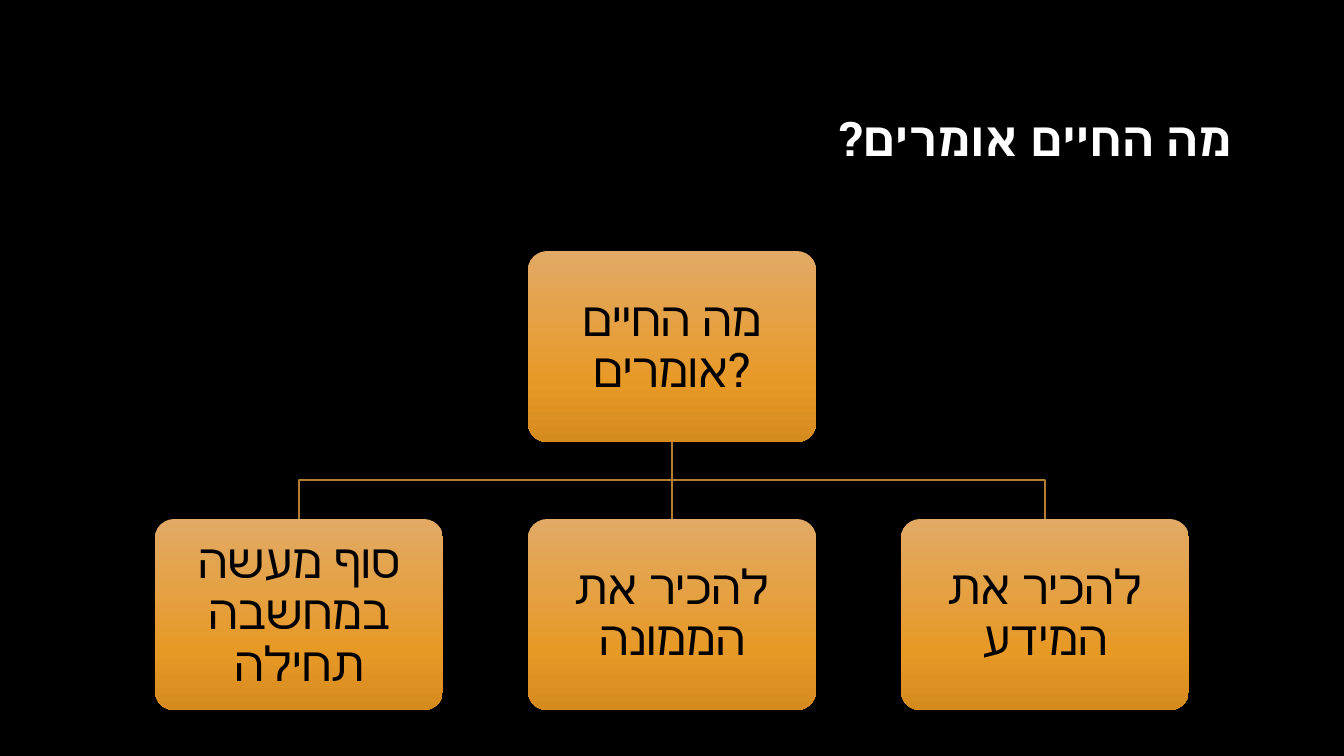
from copy import deepcopy

from lxml import etree
from pptx import Presentation
from pptx.dml.color import RGBColor
from pptx.enum.shapes import MSO_CONNECTOR, MSO_SHAPE
from pptx.enum.text import MSO_ANCHOR, PP_ALIGN
from pptx.oxml.ns import qn
from pptx.util import Pt

PX = 914400 / 100.8
COLORS = {
    "background": "000000",
    "title": "FFFFFF",
    "box_text": "000000",
    "box_top": "E2AA66",
    "box_middle": "E79926",
    "box_bottom": "D68B1F",
    "line": "B27D30",
}
FONT = "Roboto Slab"


def px(*lengths):
    return [round(length * PX) for length in lengths]


def write_text(shape, text, color, align, bold=False):
    """Fill the shape with one vertically centred paragraph."""
    frame = shape.text_frame
    frame.word_wrap = True
    frame.vertical_anchor = MSO_ANCHOR.MIDDLE
    para = frame.paragraphs[0]
    para.alignment = align
    para.line_spacing = 0.9
    span = para.add_run()
    span.text = text
    font = span.font
    font.name, font.size, font.bold = FONT, Pt(34), bold
    font.color.rgb = RGBColor.from_string(COLORS[color])
    # Hebrew letters take the complex-script font
    etree.SubElement(span._r.get_or_add_rPr(), qn("a:cs"), typeface=FONT)
    return para


deck = Presentation()
deck.slide_width, deck.slide_height = px(1344, 756)
page = deck.slides.add_slide(deck.slide_layouts[5])
page.background.fill.solid()
page.background.fill.fore_color.rgb = RGBColor.from_string(COLORS["background"])

title = page.shapes.title
title.left, title.top, title.width, title.height = px(101, 68, 1141, 146)
title_para = write_text(title, "מה החיים אומרים?", "title", PP_ALIGN.RIGHT, bold=True)
title_para._p.get_or_add_pPr().set("rtl", "1")

# Hierarchy: one root above three children
BOX_WIDTH, BOX_HEIGHT = 288, 191
ROOT_TOP, CHILD_TOP = 251, 519
CENTER, STEP = 672, 373
ROOT_BOTTOM = ROOT_TOP + BOX_HEIGHT
BUS = (ROOT_BOTTOM + CHILD_TOP) // 2

children = [
    (CENTER + STEP, "להכיר את המידע"),
    (CENTER, "להכיר את הממונה"),
    (CENTER - STEP, "סוף מעשה במחשבה תחילה"),
]

for child_center, _ in children:
    if child_center == CENTER:
        link = page.shapes.add_connector(
            MSO_CONNECTOR.STRAIGHT, *px(CENTER, ROOT_BOTTOM, CENTER, CHILD_TOP))
        etree.SubElement(link._element.spPr, qn("a:effectLst"))
    else:
        builder = page.shapes.build_freeform(CENTER, ROOT_BOTTOM, scale=PX)
        builder.add_line_segments(
            [(CENTER, BUS), (child_center, BUS), (child_center, CHILD_TOP)], close=False)
        link = builder.convert_to_shape()
        link.fill.background()
        link.shadow.inherit = False
    link.line.color.rgb = RGBColor.from_string(COLORS["line"])
    link.line.width = Pt(1.5)

boxes = [(CENTER, ROOT_TOP, "מה החיים אומרים?")]
boxes += [(center, CHILD_TOP, text) for center, text in children]

for center, top, text in boxes:
    box = page.shapes.add_shape(
        MSO_SHAPE.ROUNDED_RECTANGLE,
        *px(center - BOX_WIDTH // 2, top, BOX_WIDTH, BOX_HEIGHT))
    box.adjustments[0] = 0.1
    box.shadow.inherit = False
    box.line.fill.background()

    box.fill.gradient()
    box.fill.gradient_angle = 270
    stop_list = box.fill._fill._gradFill.find(qn("a:gsLst"))
    stop_list.append(deepcopy(stop_list[-1]))
    shades = [(0, "box_top"), (0.69, "box_middle"), (1, "box_bottom")]
    for stop, (position, shade) in zip(box.fill.gradient_stops, shades):
        stop.position = position
        stop.color.rgb = RGBColor.from_string(COLORS[shade])

    frame = box.text_frame
    frame.margin_left, frame.margin_right, frame.margin_top, frame.margin_bottom = px(14, 14, 14, 14)
    write_text(box, text, "box_text", PP_ALIGN.CENTER)

deck.save("out.pptx")
